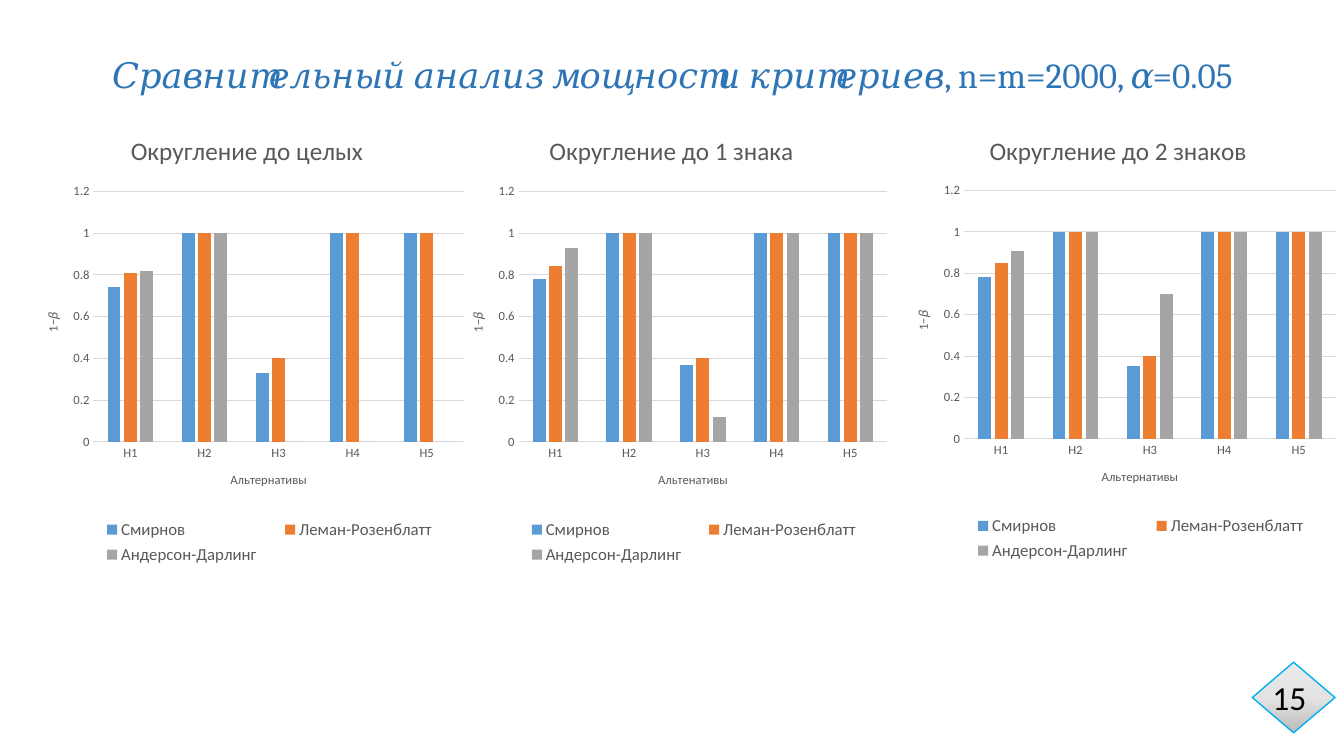
"""Build a slide comparing the power of three tests under three levels of rounding."""
from copy import deepcopy
from dataclasses import dataclass

from lxml.etree import SubElement
from pptx import Presentation
from pptx.chart.data import CategoryChartData
from pptx.dml.color import RGBColor
from pptx.enum.chart import XL_CHART_TYPE as ChartType
from pptx.enum.chart import XL_LEGEND_POSITION as LegendPosition
from pptx.enum.chart import XL_TICK_MARK as TickMark
from pptx.enum.shapes import MSO_SHAPE as Preset
from pptx.enum.text import MSO_ANCHOR as Anchor
from pptx.enum.text import PP_ALIGN as Align
from pptx.oxml.ns import qn
from pptx.util import Inches, Pt


@dataclass(frozen=True)
class Theme:
    heading_font: str = "Cambria"
    body_font: str = "Calibri"
    heading: RGBColor = RGBColor.from_string("2E75B6")
    text: RGBColor = RGBColor.from_string("595959")
    number: RGBColor = RGBColor.from_string("000000")
    grid: RGBColor = RGBColor.from_string("D9D9D9")
    outline: RGBColor = RGBColor.from_string("00B0F0")
    series: tuple = ("5B9BD5", "ED7D31", "A5A5A5")
    badge: tuple = ((0, "EBEAEA"), (0.5, "E4E3E3"), (1, "BDBCBC"))
    heading_size: Pt = Pt(25.2)
    chart_title_size: Pt = Pt(18)
    legend_size: Pt = Pt(12)
    axis_size: Pt = Pt(9)
    base_size: Pt = Pt(10)
    number_size: Pt = Pt(24)


theme = Theme()


def style_font(font, size, color=theme.text, name=theme.body_font):
    font.size = size
    font.name = name
    font.bold = False
    font.color.rgb = color


def place_part(part, after, bounds, inner=False):
    """Give a chart part a fixed place, in fractions of the chart."""
    for old in part.findall(qn("c:layout")):
        part.remove(old)
    layout = part.makeelement(qn("c:layout"))
    part.insert(after, layout)
    manual = SubElement(layout, qn("c:manualLayout"))
    settings = [("layoutTarget", "inner")] if inner else []
    settings += [("xMode", "edge"), ("yMode", "edge"), *zip("xywh", bounds)]
    for tag, value in settings:
        SubElement(manual, qn(f"c:{tag}")).set("val", str(value))


deck = Presentation()
deck.slide_width, deck.slide_height = Inches(13.33), Inches(7.5)
page = deck.slides.add_slide(deck.slide_layouts[5])

title = page.shapes.title
title.left, title.top = Inches(0.92), Inches(0.4)
title.width, title.height = Inches(11.5), Inches(0.73)
title.text_frame.text = "Сравнительный анализ мощности критериев, n=m=2000, 𝛼=0.05"
title.text_frame.vertical_anchor = Anchor.MIDDLE
heading = title.text_frame.paragraphs[0]
heading.alignment = Align.CENTER
heading.line_spacing = 0.9
style_font(heading.font, theme.heading_size, theme.heading, theme.heading_font)

tests = ("Смирнов", "Леман-Розенблатт", "Андерсон-Дарлинг")
charts = (
    ("Округление до 1 знака", "Альтенативы", 4.43, 4.46, 4.52,
     ((0.78, 1, 0.37, 1, 1), (0.84, 1, 0.4, 1, 1), (0.93, 1, 0.12, 1, 1))),
    ("Округление до 2 знаков", "Альтернативы", 8.84, 4.5, 4.48,
     ((0.78, 1, 0.35, 1, 1), (0.85, 1, 0.4, 1, 1), (0.91, 1, 0.7, 1, 1))),
    ("Округление до целых", "Альтернативы", 0.21, 4.48, 4.52,
     ((0.74, 1, 0.33, 1, 1), (0.81, 1, 0.4, 1, 1), (0.82, 1, 0, 0, 0))),
)

for name, category_name, left, width, height, powers in charts:
    data = CategoryChartData()
    data.categories = [f"H{number}" for number in range(1, 6)]
    for test, values in zip(tests, powers):
        data.add_series(test, values)
    chart = page.shapes.add_chart(
        ChartType.COLUMN_CLUSTERED, Inches(left), Inches(1.13),
        Inches(width), Inches(height), data).chart
    style_font(chart.font, theme.base_size, theme.number)

    chart.has_title = True
    chart.chart_title.include_in_layout = False
    categories, power = chart.category_axis, chart.value_axis
    for owner, words, size in (
            (chart.chart_title, name, theme.chart_title_size),
            (categories.axis_title, category_name, theme.axis_size),
            (power.axis_title, "1−𝛽", theme.axis_size)):
        owner.text_frame.text = words
        style_font(owner.text_frame.paragraphs[0].font, size)
    turned = power.axis_title.text_frame._txBody.find(qn("a:bodyPr"))
    turned.set("rot", "-5400000")
    turned.set("vert", "horz")

    for axis in (categories, power):
        axis.major_tick_mark = axis.minor_tick_mark = TickMark.NONE
        style_font(axis.tick_labels.font, theme.axis_size)
    categories.format.line.color.rgb = theme.grid
    categories.format.line.width = Pt(0.75)
    power.format.line.fill.background()
    power.minimum_scale, power.maximum_scale, power.major_unit = 0, 1.2, 0.2
    power.has_major_gridlines = True
    power.major_gridlines.format.line.color.rgb = theme.grid
    power.major_gridlines.format.line.width = Pt(0.75)

    plot = chart.plots[0]
    plot.gap_width, plot.overlap, plot.vary_by_categories = 219, -27, False
    for series, color in zip(plot.series, theme.series):
        series.format.fill.solid()
        series.format.fill.fore_color.rgb = RGBColor.from_string(color)

    chart.has_legend = True
    chart.legend.position = LegendPosition.BOTTOM
    chart.legend.include_in_layout = False
    style_font(chart.legend.font, theme.legend_size)
    place_part(chart.element.xpath("c:chart/c:plotArea")[0], 0,
               (0.16, 0.17, 0.82, 0.55), inner=True)
    place_part(chart.element.xpath("c:chart/c:legend")[0], 1,
               (0.14, 0.88, 0.82, 0.12))

diamond = page.shapes.add_shape(
    Preset.DIAMOND, Inches(12.42), Inches(6.57), Inches(0.82), Inches(0.7))
diamond.shadow.inherit = False
diamond.line.color.rgb = theme.outline
diamond.line.width = Pt(1)
diamond.fill.gradient()
diamond.fill.gradient_angle = 270
stop_list = diamond._element.xpath(".//a:gsLst")[0]
stop_list.insert(1, deepcopy(stop_list[0]))
for stop, (position, color) in zip(diamond.fill.gradient_stops, theme.badge):
    stop.position = position
    stop.color.rgb = RGBColor.from_string(color)

box = page.shapes.add_textbox(Inches(12.52), Inches(6.67), Inches(0.62), Inches(0.5))
box.text_frame.word_wrap = True
box.text_frame.text = "15"
style_font(box.text_frame.paragraphs[0].font, theme.number_size, theme.number)

deck.save("out.pptx")
